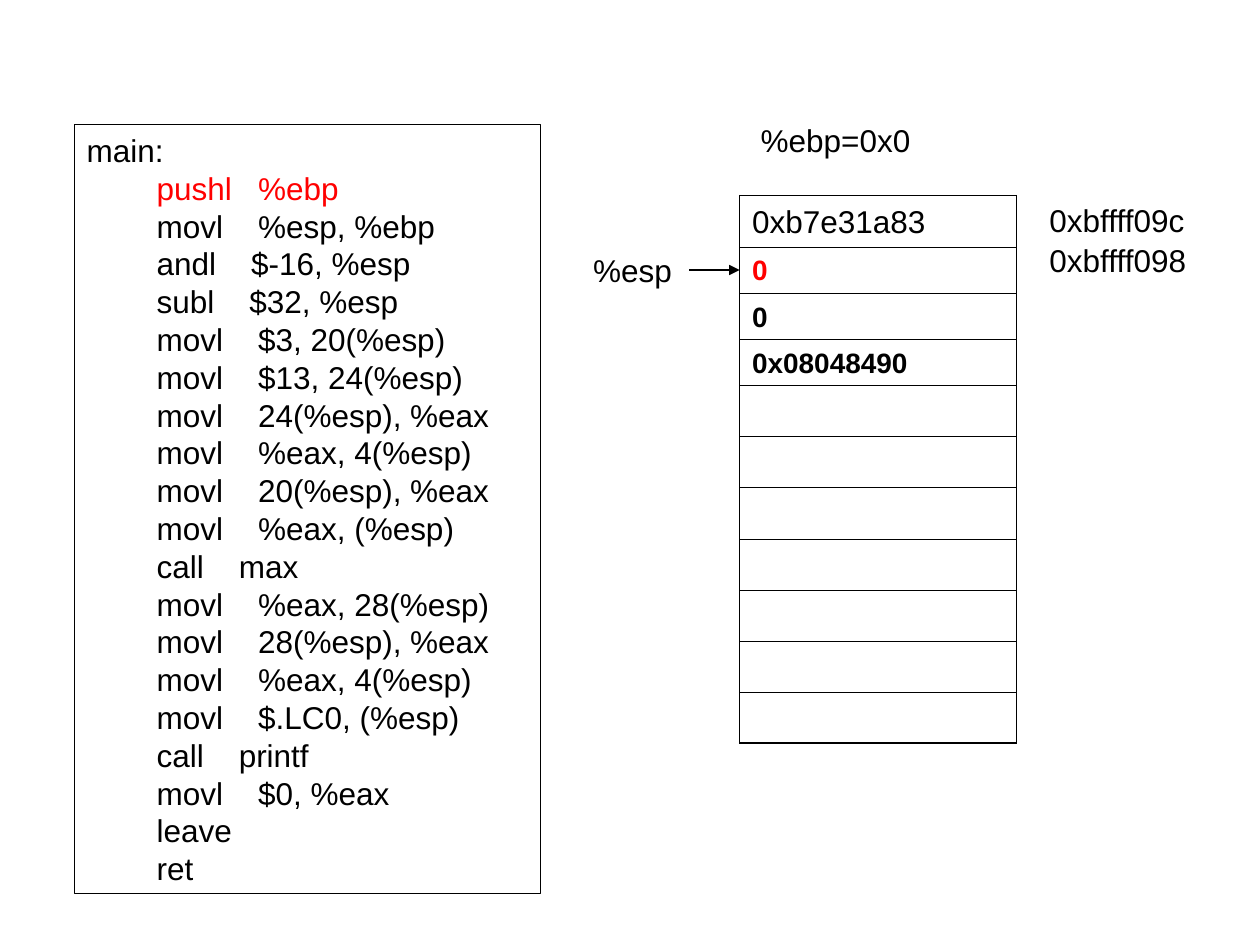
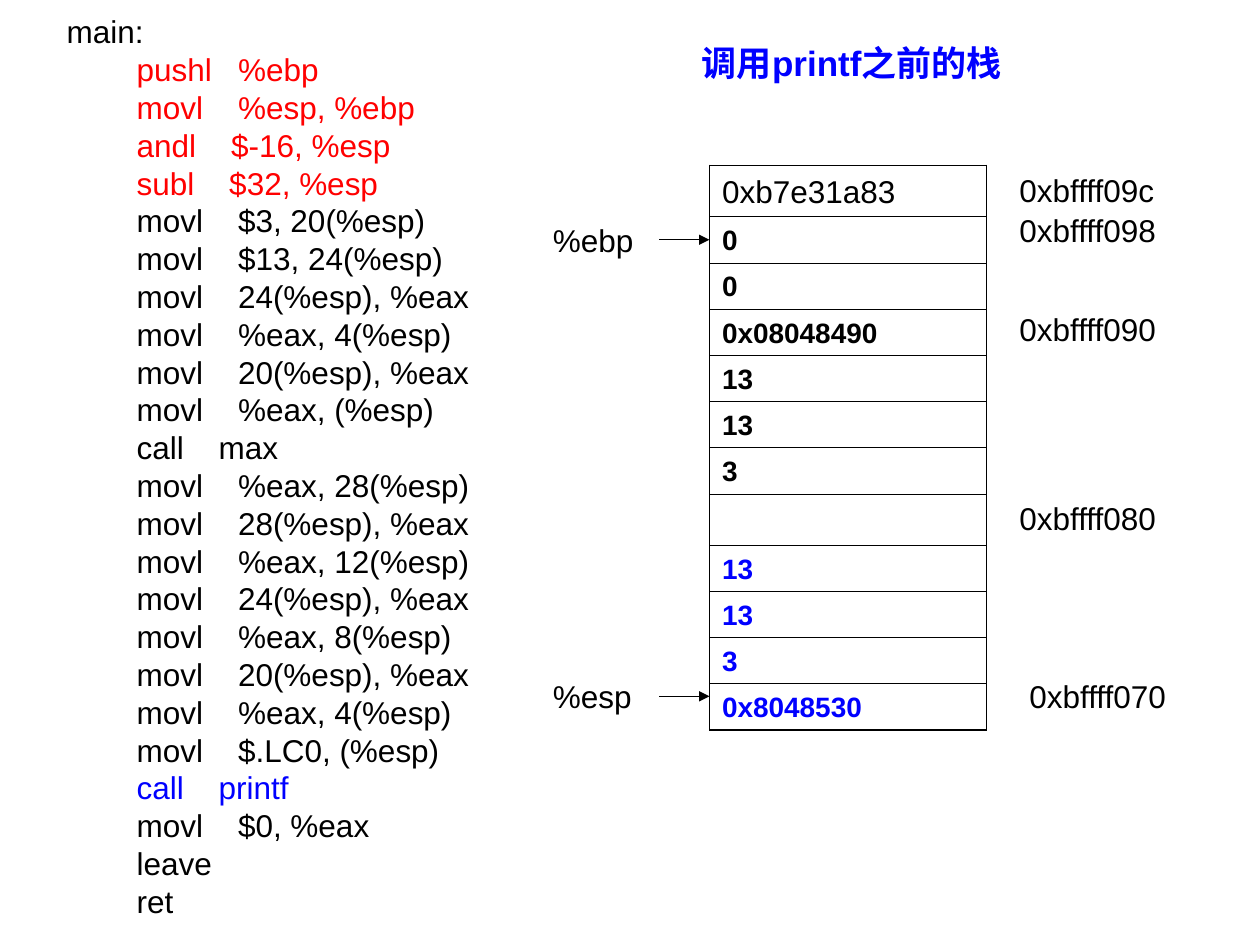
import pptx
import pptx.util
import pptx.dml.color
import pptx.enum.text
import pptx.enum.shapes
import pptx.oxml
import pptx.oxml.ns

Pt = pptx.util.Pt
BLACK, RED, BLUE = "000000", "FF0000", "0000FF"
FACE = "Arial"
WIDE = 158.4
TALL = 28.8
REACH = 28.6

START = """main:
        pushl   %ebp
        movl    %esp, %ebp
        andl    $-16, %esp
        subl    $32, %esp
        movl    $3, 20(%esp)
        movl    $13, 24(%esp)
        movl    24(%esp), %eax
        movl    %eax, 4(%esp)
        movl    20(%esp), %eax
        movl    %eax, (%esp)
        call    max
        movl    %eax, 28(%esp)
        movl    28(%esp), %eax
"""
EXTRA = """        movl    %eax, 12(%esp)
        movl    24(%esp), %eax
        movl    %eax, 8(%esp)
        movl    20(%esp), %eax
"""
END = """        movl    %eax, 4(%esp)
        movl    $.LC0, (%esp)
        call    printf
        movl    $0, %eax
        leave
        ret"""


def color(code):
    return pptx.dml.color.RGBColor.from_string(code)


def style(para, size=18, code=BLACK, bold=False):
    para.alignment = pptx.enum.text.PP_ALIGN.LEFT
    para.line_spacing = Pt(round(size * 1.2, 1))
    for run in para.runs:
        font = run.font
        font.name, font.size, font.bold = FACE, Pt(size), bold
        font.color.rgb = color(code)


def inset(frame):
    frame.word_wrap = True
    frame.auto_size = pptx.enum.text.MSO_AUTO_SIZE.NONE
    frame.vertical_anchor = pptx.enum.text.MSO_ANCHOR.TOP
    frame.margin_left = frame.margin_right = Pt(7.2)
    frame.margin_top = frame.margin_bottom = Pt(3.6)


def label(slide, text, x, y, w, h=TALL, marks={}):
    box = slide.shapes.add_textbox(Pt(x), Pt(y), Pt(w), Pt(h))
    inset(box.text_frame)
    box.text_frame.text = text
    for i, para in enumerate(box.text_frame.paragraphs):
        style(para, code=marks.get(i, BLACK))
    return box


def title(slide, text, x, y, w, h):
    box = slide.shapes.title
    box.left, box.top, box.width, box.height = Pt(x), Pt(y), Pt(w), Pt(h)
    inset(box.text_frame)
    box.text_frame.text = text
    style(box.text_frame.paragraphs[0], 20, BLUE, True)


def border(cell, last):
    props = cell._tc.get_or_add_tcPr()
    for i, side in enumerate("LRTB"):
        width = Pt(1.08 if last and side == "B" else 0.45)
        props.insert(i, pptx.oxml.parse_xml(
            f'<a:ln{side} {pptx.oxml.ns.nsdecls("a")} w="{width}"><a:solidFill>'
            f'<a:srgbClr val="{BLACK}"/></a:solidFill></a:ln{side}>'))


def arrow(slide, x, y):
    line = slide.shapes.add_connector(
        pptx.enum.shapes.MSO_CONNECTOR.STRAIGHT, Pt(x - REACH), Pt(y), Pt(x), Pt(y))
    line.line.color.rgb = color(BLACK)
    line.line.width = Pt(0.75)
    space = pptx.oxml.ns.nsdecls("a")
    line.line._get_or_add_ln().append(
        pptx.oxml.parse_xml(f'<a:tailEnd {space} type="triangle"/>'))
    line._element.spPr.append(pptx.oxml.parse_xml(f'<a:effectLst {space}/>'))


def stack(slide, x, y, words, marks, heads, gap, notes):
    rows = [29.5] + [26.4 if word else TALL for word in words[1:]]
    grid = slide.shapes.add_table(
        len(rows), 1, Pt(x), Pt(y), Pt(WIDE), Pt(sum(rows))).table
    grid.first_row = grid.horz_banding = False
    for i, (word, high) in enumerate(zip(words, rows)):
        grid.rows[i].height = Pt(high)
        cell = grid.cell(i, 0)
        cell.fill.background()
        border(cell, i == len(rows) - 1)
        cell.vertical_anchor = pptx.enum.text.MSO_ANCHOR.MIDDLE
        cell.text_frame.text = word
        para = cell.text_frame.paragraphs[0]
        style(para, 16 if i and word else 18, marks.get(i, BLACK), i > 0)
    for name, down in heads:
        label(slide, name, x - gap, y + down - TALL / 2, 68.4)
        arrow(slide, x, y + down)
    for name, right, down in notes:
        label(slide, name, x + right, y + down, 102.2)


def push(deck):
    slide = deck.slides.add_slide(deck.slide_layouts[6])
    code = label(slide, START + END, 42.5, 71.3, 266.4, 439.2, {1: RED})
    code.line.color.rgb = color(BLACK)
    code.line.width = Pt(0.75)
    x, y = 422.6, 111.6
    label(slide, "%ebp=0x0", x + 5, y - 46, 170)
    stack(slide, x, y, ["0xb7e31a83", "0", "0", "0x08048490"] + [""] * 7,
          {1: RED}, [("%esp", 42.7)], 90.7,
          [("0xbffff09c", 170, 0), ("0xbffff098", 170, 22.5)])


def call(deck):
    slide = deck.slides.add_slide(deck.slide_layouts[5])
    marks = dict.fromkeys(range(1, 5), RED) | {20: BLUE}
    label(slide, START + EXTRA + END, 31, 3.6, 260.6, 525.6, marks)
    x, y = 405.4, 94.3
    title(slide, "调用printf之前的栈", x - 11.5, y - 74.1, 187.2, 55.4)
    vals = ["13", "13", "3"]
    words = ["0xb7e31a83", "0", "0", "0x08048490", *vals, "", *vals, "0x8048530"]
    stack(slide, x, y, words, dict.fromkeys(range(8, 12), BLUE),
          [("%ebp", 42.7), ("%esp", 303.6)], 96.5,
          [("0xbffff09c", 170, 0), ("0xbffff098", 170, 22.5),
           ("0xbffff090", 170, 79.2), ("0xbffff080", 170, 187.2),
           ("0xbffff070", 175.7, 289)])


def main():
    deck = pptx.Presentation()
    deck.slide_width, deck.slide_height = Pt(720), Pt(540)
    push(deck)
    call(deck)
    deck.save("out.pptx")


if __name__ == "__main__":
    main()
